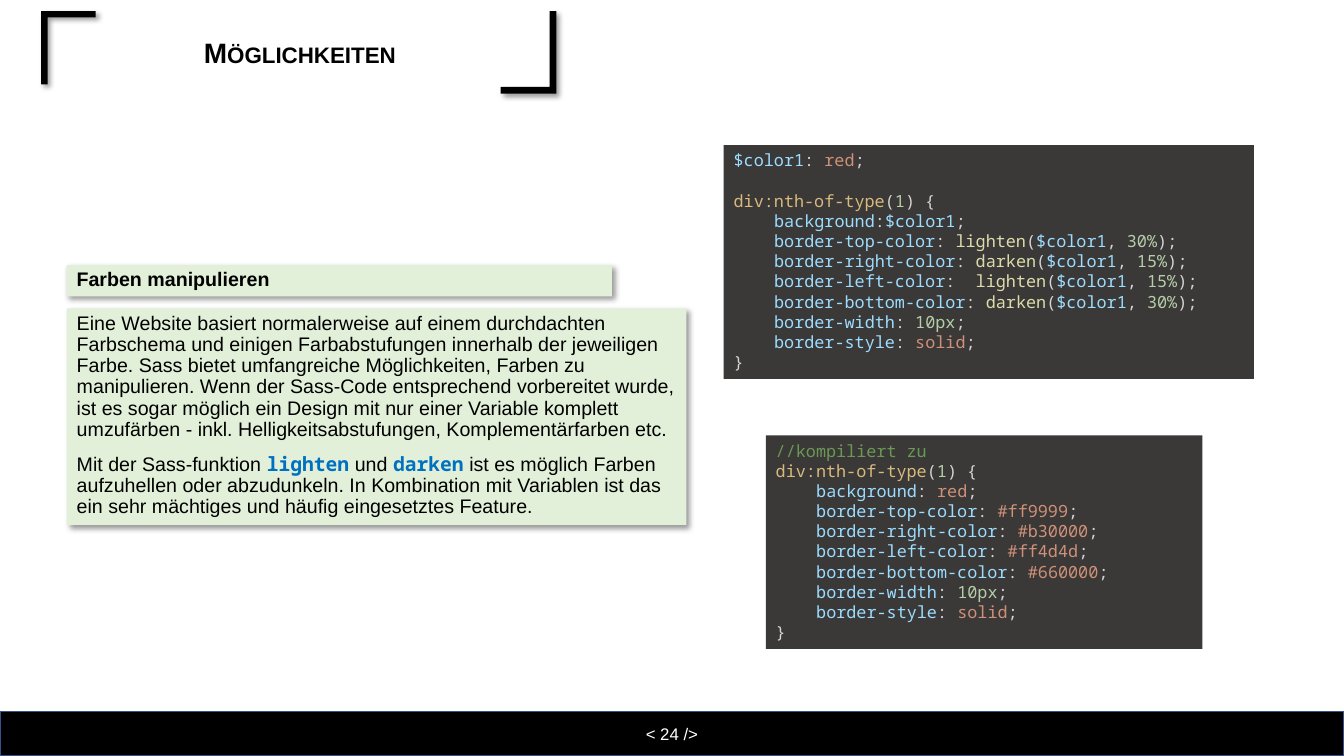
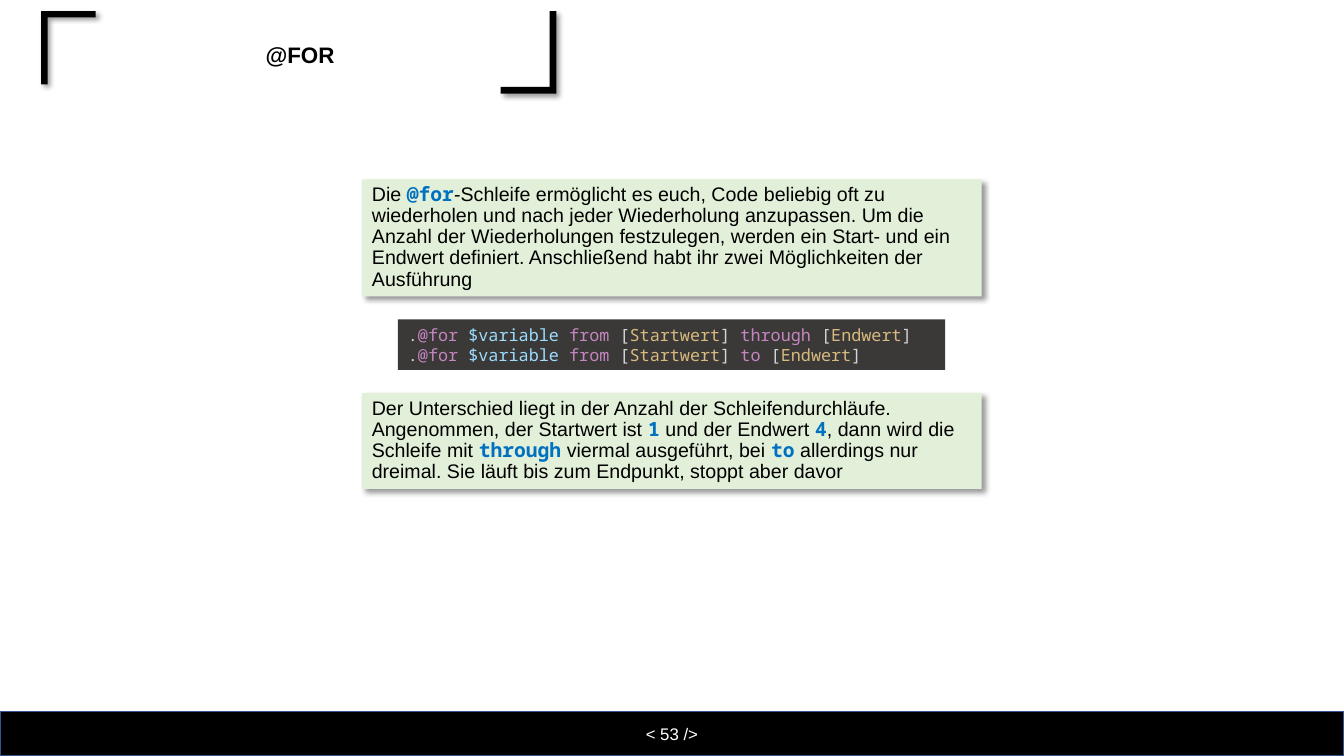
"""Build two Sass slides from marked text, where each part opens with a style key."""
from lxml.etree import SubElement
from pptx import Presentation
from pptx.dml.color import RGBColor
from pptx.enum.shapes import MSO_SHAPE
from pptx.enum.text import MSO_ANCHOR, MSO_AUTO_SIZE, PP_ALIGN
from pptx.oxml.ns import qn
from pptx.util import Cm, Pt

BLACK = RGBColor(0x00, 0x00, 0x00)
WHITE = RGBColor(0xFF, 0xFF, 0xFF)
BLUE = RGBColor(0x00, 0x70, 0xC0)
EDGE = RGBColor(0x32, 0x54, 0x91)
GREEN = RGBColor(0xE2, 0xF0, 0xD9)
DARK = RGBColor(0x3B, 0x38, 0x38)
GREY = RGBColor(0xD4, 0xD4, 0xD4)
SKY = RGBColor(0x9C, 0xDC, 0xFE)
RUST = RGBColor(0xCE, 0x91, 0x78)
GOLD = RGBColor(0xD7, 0xBA, 0x7D)
MINT = RGBColor(0xB5, 0xCE, 0xA8)
CREAM = RGBColor(0xDC, 0xDC, 0xAA)
MOSS = RGBColor(0x6A, 0x99, 0x55)
PINK = RGBColor(0xC5, 0x86, 0xC0)

SANS, MONO = "Arial", "Noto Sans Mono"
STYLES = {
    "t": (SANS, BLACK, False),
    "h": (SANS, BLACK, True),
    "w": (SANS, WHITE, False),
    "k": (MONO, BLUE, True),
    "p": (MONO, GREY, False),
    "v": (MONO, SKY, False),
    "s": (MONO, RUST, False),
    "e": (MONO, GOLD, False),
    "n": (MONO, MINT, False),
    "f": (MONO, CREAM, False),
    "c": (MONO, MOSS, False),
    "l": (MONO, PINK, False),
}

WIDE, HIGH = 33.87, 19.05
BAND = (0, 17.93, WIDE, 1.12)
TITLE = (1.35, 0.61, 12.42, 1.52)
CORNERS = [
    [(1.2, 2.13), (1.04, 2.13), (1.04, 0.28), (2.41, 0.28), (2.41, 0.44), (1.2, 0.44)],
    [(13.85, 0.28), (14.02, 0.28), (14.02, 2.36), (12.62, 2.36), (12.62, 2.19), (13.85, 2.19)],
]

COLOURS = [
    "tEine Website basiert normalerweise auf einem durchdachten Farbschema und einigen "
    "Farbabstufungen innerhalb der jeweiligen Farbe. Sass bietet umfangreiche Möglichkeiten, "
    "Farben zu manipulieren. Wenn der Sass-Code entsprechend vorbereitet wurde, ist es sogar "
    "möglich ein Design mit nur einer Variable komplett umzufärben - inkl. "
    "Helligkeitsabstufungen, Komplementärfarben etc.",
    "tMit der Sass-funktion |klighten|t und |kdarken|t ist es möglich Farben aufzuhellen oder "
    "abzudunkeln. In Kombination mit Variablen ist das ein sehr mächtiges und häufig "
    "eingesetztes Feature.",
]
SOURCE = [
    "v$color1|p: |sred|p;",
    "\nediv:nth-of-type|p(|n1|p) {",
    "\tvbackground|p:|v$color1|p;",
    "\tvborder-top-color|p: |flighten|p(|v$color1|p, |n30%|p);",
    "\tvborder-right-color|p: |fdarken|p(|v$color1|p, |n15%|p);",
    "\tvborder-left-color|p:\u00a0\u00a0|flighten|p(|v$color1|p, |n15%|p);",
    "\tvborder-bottom-color|p: |fdarken|p(|v$color1|p, |n30%|p);",
    "\tvborder-width|p: |n10px|p;",
    "\tvborder-style|p: |ssolid|p;",
    "p}",
]
RESULT = [
    "c//kompiliert zu",
    "ediv:nth-of-type|p(|n1|p) {",
    "\tvbackground|p: |sred|p;",
    "\tvborder-top-color|p: |s#ff9999|p;",
    "\tvborder-right-color|p: |s#b30000|p;",
    "\tvborder-left-color|p: |s#ff4d4d|p;",
    "\tvborder-bottom-color|p: |s#660000|p;",
    "\tvborder-width|p: |n10px|p;",
    "\tvborder-style|p: |ssolid|p;",
    "p}",
]
LOOP = [
    "tDie |k@for|t-Schleife ermöglicht es euch, Code beliebig oft zu wiederholen und nach jeder "
    "Wiederholung anzupassen. Um die Anzahl der Wiederholungen festzulegen, werden ein Start- "
    "und ein Endwert definiert. Anschließend habt ihr zwei Möglichkeiten der Ausführung",
]
FORMS = [
    f"p.|l@for |v$variable |lfrom|p [|eStartwert|p] |l{word}|p [|eEndwert|p]"
    for word in ("through", "to")
]
LIMITS = [
    "tDer Unterschied liegt in der Anzahl der Schleifendurchläufe. Angenommen, der Startwert "
    "ist |k1|t und der Endwert |k4|t, dann wird die Schleife mit |kthrough|t viermal "
    "ausgeführt, bei |kto|t allerdings nur dreimal. Sie läuft bis zum Endpunkt, stoppt aber "
    "davor",
]

SLIDES = [
    ("Möglichkeiten", 24, [
        ("body", (1.68, 7.77, 15.62, 5.46), COLOURS),
        ("code", (18.24, 3.66, 13.36, 5.89), SOURCE),
        ("code", (19.3, 10.97, 11, 5.38), RESULT),
        ("note", (1.68, 6.68, 13.74, 0.79), ["hFarben manipulieren"]),
    ]),
    ("@for", 53, [
        ("body", (9.12, 4.52, 15.62, 2.95), LOOP),
        ("note", (9.12, 9.91, 15.62, 2.41), LIMITS),
        ("code", (10.03, 8.05, 13.79, 1.27), FORMS),
    ]),
]


def place(shape, box):
    """Move and size a shape, in centimetres."""
    shape.left, shape.top, shape.width, shape.height = map(Cm, box)


def write(shape, lines, size=14, align=PP_ALIGN.LEFT, anchor=MSO_ANCHOR.TOP,
          space=1.0, before=0, small=False):
    """Fill a shape with marked lines; a tab indents and a newline leaves a gap."""
    frame = shape.text_frame
    frame.word_wrap = True
    frame.auto_size = MSO_AUTO_SIZE.NONE
    frame.vertical_anchor = anchor
    for i, line in enumerate(lines):
        para = frame.add_paragraph() if i else frame.paragraphs[0]
        para.alignment, para.line_spacing = align, space
        para.space_before = Pt(14.4 if line.startswith("\n") else before)
        props = para._p.get_or_add_pPr()
        props.set("marL", str(Cm(1.02 if line.startswith("\t") else 0)))
        props.set("indent", "0")
        SubElement(props, qn("a:buNone"))
        for part in line.strip("\n\t").split("|"):
            run = para.add_run()
            run.text = part[1:]
            font = run.font
            font.name, font.color.rgb, font.bold = STYLES[part[0]]
            font.size = Pt(size)
            if small:
                font._element.set("cap", "small")


def paint(shape, fill, line=None, shade=False):
    """Set fill, outline and shadow."""
    shape.fill.solid()
    shape.fill.fore_color.rgb = fill
    if line is None:
        shape.line.fill.background()
    else:
        shape.line.color.rgb = line
        shape.line.width = Pt(1)
    shape.shadow.inherit = False
    if shade:
        effects = shape._element.spPr.find(qn("a:effectLst"))
        outer = SubElement(effects, qn("a:outerShdw"), blurRad=str(Pt(4)), dist=str(Pt(3)),
                           dir="2700000", algn="tl", rotWithShape="0")
        tone = SubElement(outer, qn("a:srgbClr"), val=str(BLACK))
        SubElement(tone, qn("a:alpha"), val="40000")


def frame_layout(layout, slide):
    """Put the corners and the footer band on the layout, by way of a slide."""
    for item in list(layout.placeholders):
        if item.placeholder_format.idx > 1:
            item._element.getparent().remove(item._element)
    place(layout.placeholders[0], TITLE)
    shapes = slide.shapes
    for points in CORNERS:
        first, *rest = [(Cm(x), Cm(y)) for x, y in points]
        pen = shapes.build_freeform(*first)
        pen.add_line_segments(rest, close=True)
        corner = pen.convert_to_shape()
        paint(corner, BLACK, shade=True)
        layout.shapes._spTree.append(corner._element)
    band = shapes.add_shape(MSO_SHAPE.RECTANGLE, *map(Cm, BAND))
    paint(band, BLACK, line=EDGE)
    layout.shapes._spTree.append(band._element)


def fill_slide(slide, title, number, blocks):
    """Add the title, the page number and the text panels."""
    shapes = slide.shapes
    write(shapes.title, ["h" + title], size=20, align=PP_ALIGN.CENTER,
          anchor=MSO_ANCHOR.MIDDLE, space=0.9, small=True)
    for kind, box, lines in blocks:
        if kind == "body":
            panel = slide.placeholders[1]
            place(panel, box)
        else:
            panel = shapes.add_shape(MSO_SHAPE.RECTANGLE, *map(Cm, box))
        if kind == "code":
            paint(panel, DARK)
            write(panel, lines, size=12)
        else:
            paint(panel, GREEN, shade=True)
            write(panel, lines, space=0.9, before=10)
    page = shapes.add_textbox(*map(Cm, BAND))
    write(page, [f"w< {number} />"], size=12, align=PP_ALIGN.CENTER,
          anchor=MSO_ANCHOR.MIDDLE)


deck = Presentation()
deck.slide_width, deck.slide_height = Cm(WIDE), Cm(HIGH)
layout = deck.slide_layouts[1]
pages = [deck.slides.add_slide(layout) for _ in SLIDES]
frame_layout(layout, pages[0])
for slide, content in zip(pages, SLIDES):
    fill_slide(slide, *content)
deck.save("out.pptx")
